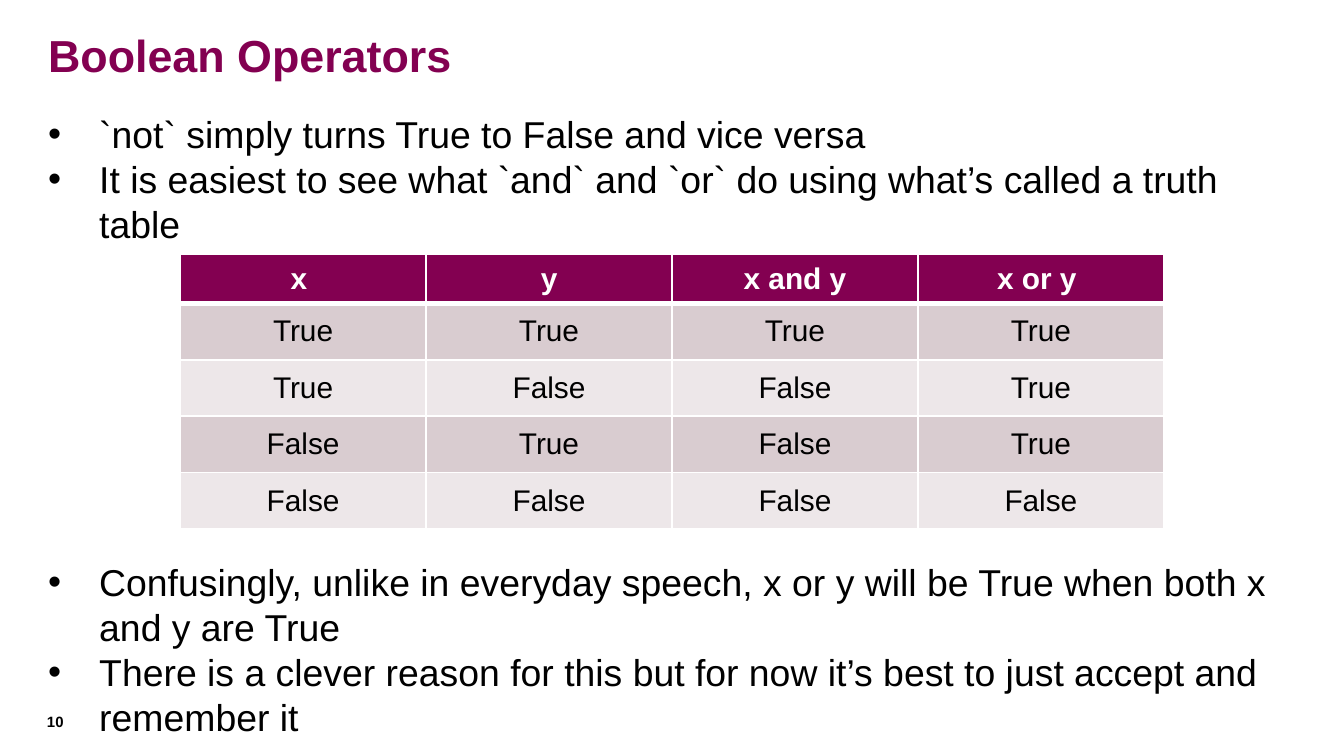
from lxml import etree
from pptx import Presentation
from pptx import util as u
from pptx.dml import color as c
from pptx.enum import text as t
from pptx.oxml import ns

COLORS = {
    "plum": "830051",
    "black": "000000",
    "white": "FFFFFF",
    "band_dark": "D9CCD0",
    "band_light": "EDE7E9",
}
FONT = "Arial"
LINE_HEIGHT = 24
TABLE_GAP_LINES = 7

BULLETS_ABOVE = [
    "`not` simply turns True to False and vice versa",
    "It is easiest to see what `and` and `or` do using what’s called a truth table",
]
BULLETS_BELOW = [
    "Confusingly, unlike in everyday speech, x or y will be True when both x and y are True",
    "There is a clever reason for this but for now it’s best to just accept and remember it",
]
HEADERS = ["x ", "y", "x and y", "x or y "]
INPUTS = [(True, True), (True, False), (False, True), (False, False)]


def color(name):
    return c.RGBColor.from_string(COLORS[name])


def write(paragraph, content, size=20, bold=False, fill="black", align=t.PP_ALIGN.LEFT):
    paragraph.alignment = align
    run = paragraph.add_run()
    run.text = content
    run.font.name = FONT
    run.font.size = u.Pt(size)
    run.font.bold = bold
    run.font.color.rgb = color(fill)


def add_frame(slide, box):
    frame = slide.shapes.add_textbox(*map(u.Inches, box)).text_frame
    frame.word_wrap = True
    frame.vertical_anchor = t.MSO_ANCHOR.TOP
    return frame


def add_title(slide, box):
    frame = add_frame(slide, box)
    write(frame.paragraphs[0], "Boolean Operators", size=24, bold=True, fill="plum")


def add_page_number(slide, box):
    frame = add_frame(slide, box)
    frame.margin_left = frame.margin_right = 0
    frame.margin_top = frame.margin_bottom = 0
    write(frame.paragraphs[0], "10", size=8, bold=True)


def set_bullet(paragraph, indent=0.38):
    properties = paragraph._p.get_or_add_pPr()
    properties.set("marL", str(u.Inches(indent)))
    properties.set("indent", str(-u.Inches(indent)))
    etree.SubElement(properties, ns.qn("a:buFont"), typeface=FONT)
    etree.SubElement(properties, ns.qn("a:buChar"), char="•")


def add_bullets(slide, box):
    frame = add_frame(slide, box)
    for index, content in enumerate(BULLETS_ABOVE + BULLETS_BELOW):
        paragraph = frame.add_paragraph() if index else frame.paragraphs[0]
        write(paragraph, content)
        paragraph.line_spacing = u.Pt(LINE_HEIGHT)
        if index == len(BULLETS_ABOVE):
            paragraph.space_before = u.Pt(LINE_HEIGHT * TABLE_GAP_LINES)
        set_bullet(paragraph)


def set_borders(cell, **widths):
    properties = cell._tc.get_or_add_tcPr()
    for position, (side, width) in enumerate(widths.items()):
        line = etree.Element(ns.qn(f"a:ln{side}"), w=str(u.Pt(width)))
        fill = etree.SubElement(line, ns.qn("a:solidFill"))
        etree.SubElement(fill, ns.qn("a:srgbClr"), val=COLORS["white"])
        properties.insert(position, line)


def add_truth_table(slide, box, header_height=0.36):
    rows = [HEADERS] + [[str(v) for v in (x, y, x and y, x or y)] for x, y in INPUTS]
    table = slide.shapes.add_table(len(rows), len(HEADERS), *map(u.Inches, box)).table
    for column in table.columns:
        column.width = u.Inches(box[2] / len(HEADERS))
    for index, values in enumerate(rows):
        header = index == 0
        band = "plum" if header else "band_dark" if index % 2 else "band_light"
        height = header_height if header else (box[3] - header_height) / len(INPUTS)
        table.rows[index].height = u.Inches(height)
        for cell, value in zip(table.rows[index].cells, values):
            cell.vertical_anchor = t.MSO_ANCHOR.MIDDLE
            cell.fill.solid()
            cell.fill.fore_color.rgb = color(band)
            write(cell.text_frame.paragraphs[0], value, size=16, bold=header,
                  fill="white" if header else "black", align=t.PP_ALIGN.CENTER)
            set_borders(cell, L=1, R=1, T=3 if index == 1 else 1, B=3 if header else 1)


def main():
    presentation = Presentation()
    presentation.slide_width = u.Inches(10)
    presentation.slide_height = u.Inches(10 * 9 / 16)
    slide = presentation.slides.add_slide(presentation.slide_layouts[6])
    add_title(slide, (0.26, 0.16, 9.06, 0.55))
    add_page_number(slide, (0.35, 5.3, 0.43, 0.18))
    add_bullets(slide, (0.26, 0.78, 9.39, 4.7))
    add_truth_table(slide, (1.34, 1.89, 7.32, 2.04))
    presentation.save("out.pptx")


if __name__ == "__main__":
    main()
